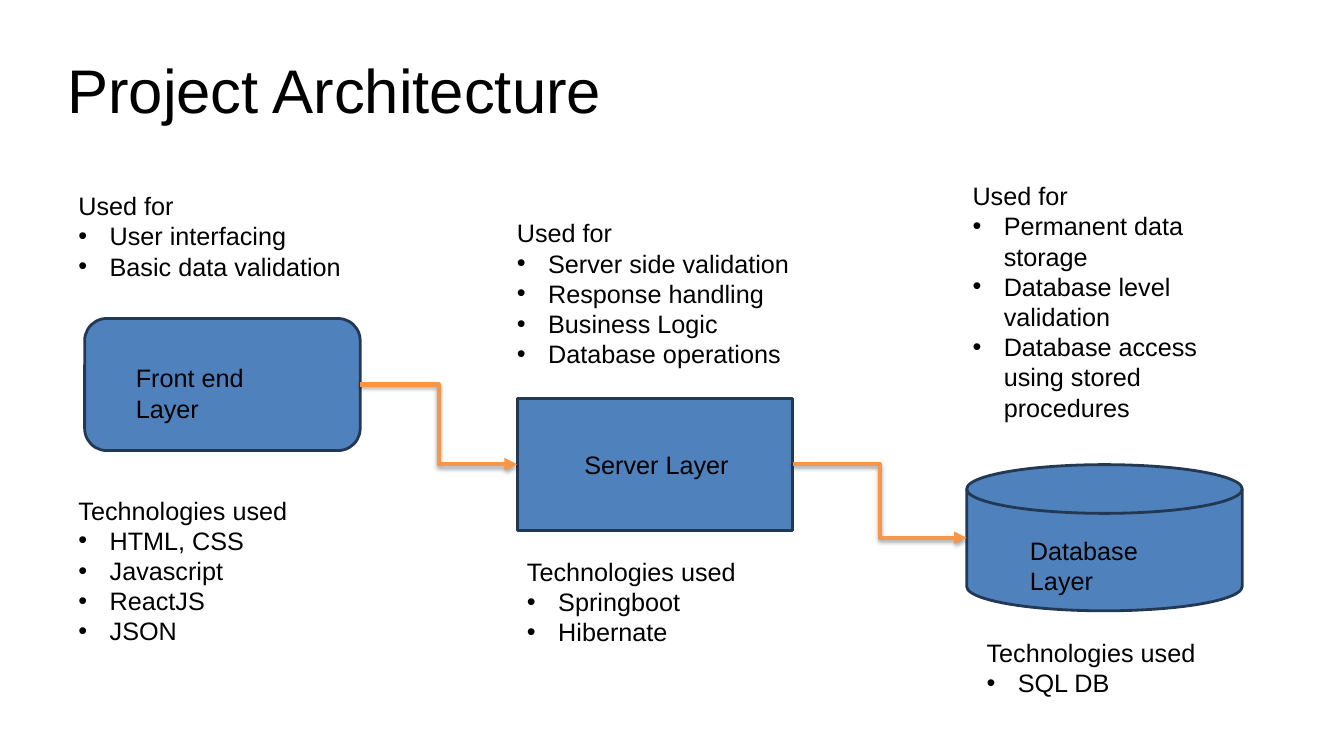
from dataclasses import dataclass
from lxml.etree import SubElement
from pptx import Presentation
from pptx.dml.color import RGBColor
from pptx.enum.shapes import MSO_CONNECTOR, MSO_SHAPE
from pptx.enum.text import MSO_ANCHOR, PP_ALIGN
from pptx.oxml import parse_xml
from pptx.oxml.ns import nsdecls, qn
from pptx.util import Inches, Pt

COLS, ROWS = 80, 45


@dataclass(frozen=True)
class Theme:
    """Colours, font and type sizes of the slide."""
    font: str = "Arial"
    title: int = 44
    body: int = 18
    text: str = "000000"
    fill: str = "4F81BD"
    line: str = "233953"
    arrow: str = "F79646"


@dataclass(frozen=True)
class Note:
    """A headed bullet list, offset in grid units from its layer's box."""
    dx: float
    dy: float
    lines: int
    items: tuple


@dataclass(frozen=True)
class Layer:
    """One tier of the architecture, with its box in grid units."""
    name: str
    kind: MSO_SHAPE
    box: tuple
    label: tuple
    used: Note
    tech: Note


THEME = Theme()
LAYERS = (
    Layer("Front end Layer", MSO_SHAPE.ROUNDED_RECTANGLE, (5.04, 18.96, 16.4, 7.86), (2.46, 2.34),
          Note(-0.96, -7.92, 4, ("User interfacing", "Basic data validation")),
          Note(-0.96, 10.2, 6, ("HTML, CSS", "Javascript", "ReactJS", "JSON"))),
    Layer("Server Layer", MSO_SHAPE.ROUNDED_RECTANGLE, (30.78, 23.7, 16.4, 7.86), (3.42, 2.76),
          Note(-0.6, -11.04, 5, ("Server side validation", "Response handling",
                                 "Business Logic", "Database operations")),
          Note(0, 9.12, 4, ("Springboot", "Hibernate"))),
    Layer("Database Layer", MSO_SHAPE.FLOWCHART_MAGNETIC_DISK, (57.54, 27.66, 16.4, 8.7), (3.18, 3.9),
          Note(-0.24, -17.22, 9, ("Permanent data storage", "Database level validation",
                                  "Database access using stored procedures")),
          Note(0.6, 9.96, 2, ("SQL DB",))),
)


def grid(prs, box):
    """Turn a box in grid units into slide lengths."""
    col, row = prs.slide_width / COLS, prs.slide_height / ROWS
    x, y, w, h = box
    return round(x * col), round(y * row), round(w * col), round(h * row)


def style(tf, size):
    """Apply the theme's font and colour to every run."""
    for p in tf.paragraphs:
        for r in p.runs:
            r.font.name, r.font.size = THEME.font, Pt(size)
            r.font.color.rgb = RGBColor.from_string(THEME.text)


def add_text(prs, s, box, lines):
    """Add a text box whose lines after the first are bullets."""
    tf = s.shapes.add_textbox(*grid(prs, box)).text_frame
    tf.word_wrap = True
    tf.text = "\n".join(lines)
    for p in tf.paragraphs[1:]:
        pPr = p._p.get_or_add_pPr()
        pPr.set("marL", str(Inches(0.31)))
        pPr.set("indent", str(-Inches(0.31)))
        SubElement(pPr, qn("a:buFont")).set("typeface", THEME.font)
        SubElement(pPr, qn("a:buChar")).set("char", "•")
    style(tf, THEME.body)


def add_title(prs, s, box, text):
    """Place and format the title placeholder."""
    sp = s.shapes.title
    sp.left, sp.top, sp.width, sp.height = grid(prs, box)
    tf = sp.text_frame
    tf.text = text
    tf.word_wrap = True
    tf.vertical_anchor = MSO_ANCHOR.MIDDLE
    tf.margin_left = tf.margin_right = tf.margin_top = tf.margin_bottom = 0
    tf.paragraphs[0].alignment = PP_ALIGN.LEFT
    tf.paragraphs[0].line_spacing = 0.9
    style(tf, THEME.title)


def add_layer(prs, s, layer, box):
    """Draw a tier with its label and both notes around its box."""
    x, y, w, h = box
    sp = s.shapes.add_shape(layer.kind, *grid(prs, box))
    sp.shadow.inherit = False
    sp.fill.solid()
    sp.fill.fore_color.rgb = RGBColor.from_string(THEME.fill)
    sp.line.color.rgb = RGBColor.from_string(THEME.line)
    sp.line.width = Pt(2)
    dx, dy = layer.label
    add_text(prs, s, (x + dx, y + dy, 11.52, 2.4), [layer.name])
    for head, note in (("Used for", layer.used), ("Technologies used", layer.tech)):
        area = (x + note.dx, y + note.dy, 18.36, 0.6 + 1.82 * note.lines)
        add_text(prs, s, area, [head, *note.items])
    return sp


def add_arrow(s, start, end, site):
    """Link two tiers with an elbow arrow from right side to left side."""
    c = s.shapes.add_connector(MSO_CONNECTOR.ELBOW, 0, 0, 0, 0)
    c.begin_connect(start, 3)
    c.end_connect(end, site)
    c.end_x, c.end_y = end.left, end.top + end.height // 2
    c.line.color.rgb = RGBColor.from_string(THEME.arrow)
    c.line.width = Pt(3)
    SubElement(c.line._get_or_add_ln(), qn("a:tailEnd")).set("type", "triangle")
    c._element.spPr.append(parse_xml(
        f'<a:effectLst {nsdecls("a")}><a:outerShdw blurRad="{Pt(3.1)}" dist="{Pt(1.8)}" '
        f'dir="5400000" rotWithShape="0"><a:srgbClr val="{THEME.text}">'
        '<a:alpha val="35000"/></a:srgbClr></a:outerShdw></a:effectLst>'))


def architecture_slide(prs):
    """Build the slide: title, three tiers and the arrows between them."""
    s = prs.slides.add_slide(prs.slide_layouts[5])
    add_title(prs, s, (4, 1.8, 72, 7.5), "Project Architecture")
    front, server, database = [add_layer(prs, s, layer, layer.box) for layer in LAYERS]
    server.adjustments[0] = 0
    add_arrow(s, front, server, 1)
    add_arrow(s, server, database, 2)


prs = Presentation()
prs.slide_width, prs.slide_height = Inches(13.33), Inches(7.5)
architecture_slide(prs)
prs.save("out.pptx")
